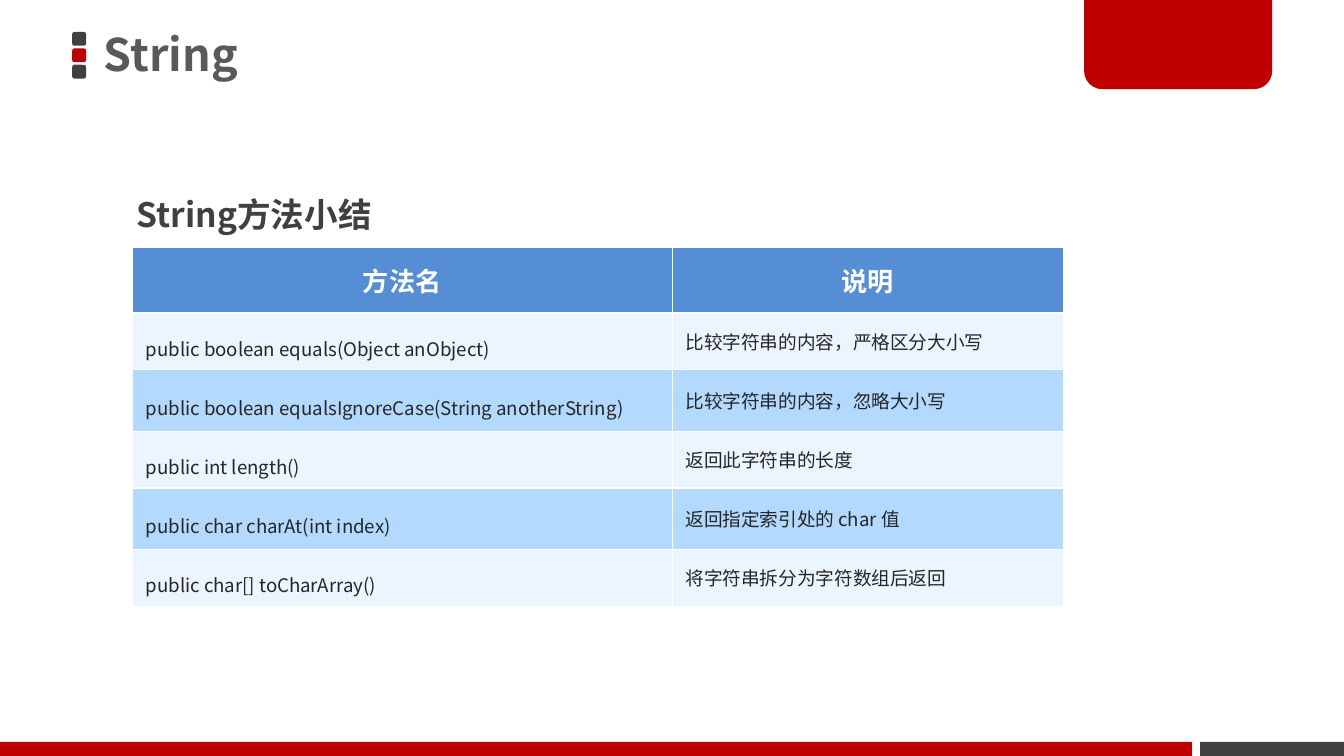
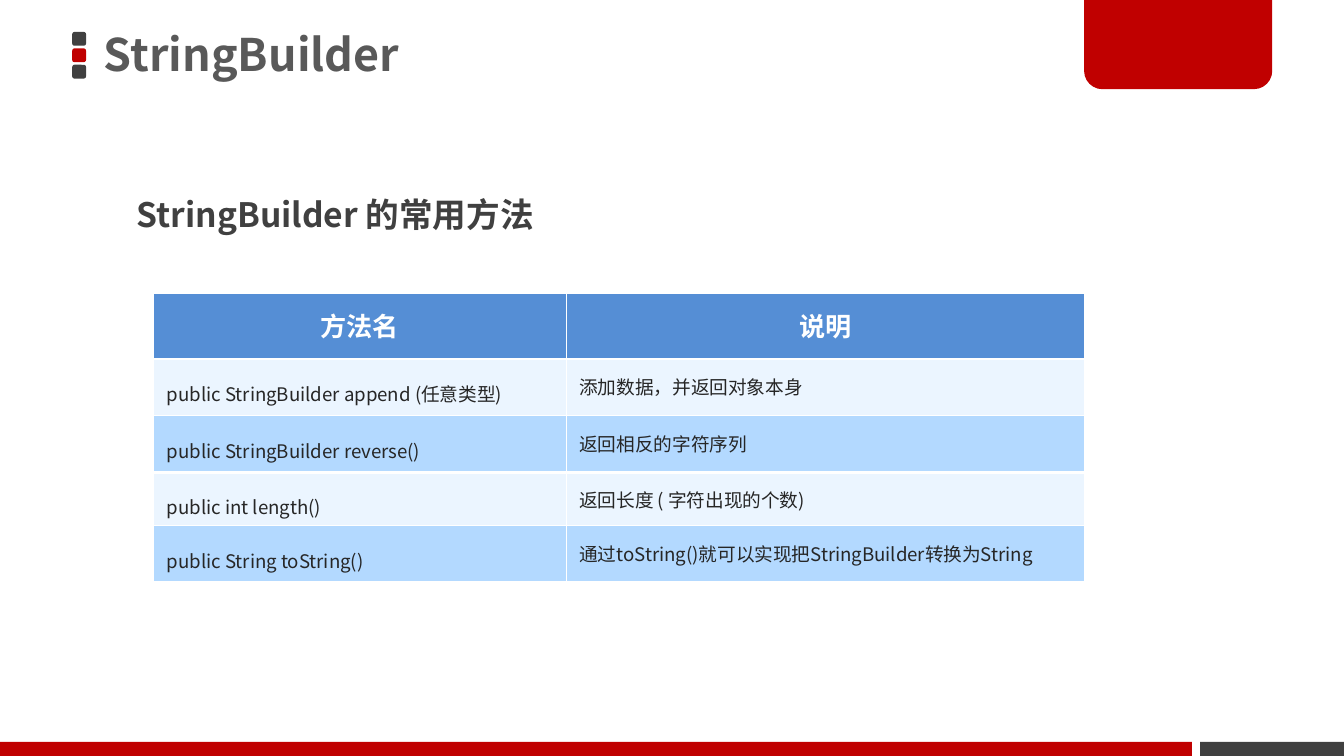
from dataclasses import dataclass

from lxml import etree
from pptx import Presentation
from pptx.dml.color import RGBColor
from pptx.enum.shapes import MSO_SHAPE
from pptx.enum.text import MSO_ANCHOR, MSO_AUTO_SIZE, PP_ALIGN
from pptx.oxml.ns import qn
from pptx.util import Pt

RECTANGLE = MSO_SHAPE.RECTANGLE
ROUNDED = MSO_SHAPE.ROUNDED_RECTANGLE
ROUND_PAIR = MSO_SHAPE.ROUND_2_SAME_RECTANGLE
TOP, MIDDLE = MSO_ANCHOR.TOP, MSO_ANCHOR.MIDDLE
LEFT, CENTER = PP_ALIGN.LEFT, PP_ALIGN.CENTER
NO_FIT, GROW = MSO_AUTO_SIZE.NONE, MSO_AUTO_SIZE.SHAPE_TO_FIT_TEXT
TITLE_ONLY = 5


@dataclass(frozen=True)
class Theme:
    font: str = "Noto Sans CJK SC"
    red: str = "C00000"
    dark: str = "404040"
    title: str = "595959"
    body: str = "262626"
    white: str = "FFFFFF"
    header: str = "558ED5"
    stripes: tuple = ("EBF5FF", "B3D9FF")
    title_size: float = 24
    heading_size: float = 18
    header_size: float = 14
    body_size: float = 10
    thin: float = 0.45
    thick: float = 1.47


THEME = Theme()

HEADER = ("方法名", "说明")

STRING_ROWS = [
    ("public boolean equals(Object anObject)", "比较字符串的内容，严格区分大小写"),
    ("public boolean equalsIgnoreCase(String anotherString)", "比较字符串的内容，忽略大小写"),
    ("public int length()", "返回此字符串的长度"),
    ("public char charAt(int index)", "返回指定索引处的 char 值"),
    ("public char[] toCharArray()", "将字符串拆分为字符数组后返回"),
]

BUILDER_ROWS = [
    ("public StringBuilder append (任意类型)", "添加数据，并返回对象本身"),
    ("public StringBuilder reverse()", "返回相反的字符序列"),
    ("public int length()", "返回长度 ( 字符出现的个数)"),
    ("public String toString()", "通过toString()就可以实现把StringBuilder转换为String"),
]


def style_paragraph(paragraph, size, color, bold=False, spacing=None, align=LEFT):
    paragraph.alignment = align
    paragraph.line_spacing = spacing
    font = paragraph.font
    font.name = THEME.font
    font.size = Pt(size)
    font.bold = bold
    font.color.rgb = RGBColor.from_string(color)
    defaults = paragraph._p.pPr.find(qn("a:defRPr"))
    etree.SubElement(defaults, qn("a:ea"), typeface=THEME.font)


def add_block(shapes, kind, left, top, width, height, color, adjustments=()):
    block = shapes.add_shape(kind, Pt(left), Pt(top), Pt(width), Pt(height))
    for index, value in enumerate(adjustments):
        block.adjustments[index] = value
    block.shadow.inherit = False
    block.fill.solid()
    block.fill.fore_color.rgb = RGBColor.from_string(color)
    block.line.fill.background()
    return block


def decorate_layout(page):
    layout = page.slide_layout
    for placeholder in list(layout.placeholders):
        if placeholder.placeholder_format.idx >= 10:
            placeholder.element.getparent().remove(placeholder.element)
    shapes = page.shapes
    squares = [
        add_block(shapes, ROUNDED, 38.7, 17.1 + 8.8 * index, 7.4, 7.4, color, (0.167,))
        for index, color in enumerate((THEME.dark, THEME.red, THEME.dark))
    ]
    decorations = [
        shapes.add_group_shape(squares),
        add_block(shapes, RECTANGLE, 643, 397.5, 77, 7.5, THEME.dark),
        add_block(shapes, ROUND_PAIR, 580.8, -1.4, 100.8, 49.2, THEME.red, (0, 0.2)),
        add_block(shapes, RECTANGLE, 0, 397.5, 638.6, 7.5, THEME.red),
    ]
    for decoration in decorations:
        layout.element.cSld.spTree.append(decoration.element)


def set_title(page, text):
    title = page.shapes.title
    title.left, title.top, title.width, title.height = Pt(49.7), Pt(-1.4), Pt(424), Pt(64)
    frame = title.text_frame
    frame.text = text
    frame.auto_size = NO_FIT
    frame.vertical_anchor = MIDDLE
    frame.margin_left = frame.margin_right = Pt(6)
    frame.margin_top = frame.margin_bottom = Pt(3)
    style_paragraph(frame.paragraphs[0], THEME.title_size, THEME.title, True, 0.9)


def add_heading(page, text, width):
    box = page.shapes.add_textbox(Pt(66.2), Pt(89.3), Pt(width), Pt(39.6))
    frame = box.text_frame
    frame.word_wrap = True
    frame.auto_size = GROW
    frame.text = text
    style_paragraph(frame.paragraphs[0], THEME.heading_size, THEME.dark, True, 1.5)


def set_borders(cell, top, bottom):
    properties = cell._tc.get_or_add_tcPr()
    widths = {"L": THEME.thin, "R": THEME.thin, "T": top, "B": bottom}
    for side, width in widths.items():
        line = etree.SubElement(properties, qn(f"a:ln{side}"), w=str(Pt(width)))
        fill = etree.SubElement(line, qn("a:solidFill"))
        etree.SubElement(fill, qn("a:srgbClr"), val=THEME.white)


def fill_cell(cell, text, color, anchor, top, bottom):
    set_borders(cell, top, bottom)
    cell.fill.solid()
    cell.fill.fore_color.rgb = RGBColor.from_string(color)
    cell.vertical_anchor = anchor
    cell.text = text
    return cell.text_frame.paragraphs[0]


def add_method_table(page, left, top, widths, heights, rows, first_stripe, has_header):
    frame = page.shapes.add_table(
        len(heights), len(widths), Pt(left), Pt(top), Pt(sum(widths)), Pt(sum(heights))
    )
    table = frame.table
    table.first_row = has_header
    table.horz_banding = False
    for column, width in zip(table.columns, widths):
        column.width = Pt(width)
    for row, height in zip(table.rows, heights):
        row.height = Pt(height)
    if has_header:
        for column, text in enumerate(HEADER):
            paragraph = fill_cell(
                table.cell(0, column), text, THEME.header, TOP, THEME.thin, THEME.thick
            )
            style_paragraph(paragraph, THEME.header_size, THEME.white, True, Pt(24), CENTER)
    for index, texts in enumerate(rows):
        color = THEME.stripes[(first_stripe + index) % 2]
        upper = THEME.thick if has_header and index == 0 else THEME.thin
        for column, (text, spacing) in enumerate(zip(texts, (1.5, None))):
            cell = table.cell(index + has_header, column)
            paragraph = fill_cell(cell, text, color, MIDDLE, upper, THEME.thin)
            style_paragraph(paragraph, THEME.body_size, THEME.body, spacing=spacing)


def add_method_tables(page, left, widths, rows, parts):
    used = 0
    for top, heights in parts:
        has_header = used == 0
        count = len(heights) - has_header
        add_method_table(
            page, left, top, widths, heights, rows[used:used + count], used, has_header
        )
        used += count


def add_page(deck, title, heading, heading_width):
    page = deck.slides.add_slide(deck.slide_layouts[TITLE_ONLY])
    if len(deck.slides) == 1:
        decorate_layout(page)
    set_title(page, title)
    add_heading(page, heading, heading_width)
    return page


def main():
    deck = Presentation()
    deck.slide_width, deck.slide_height = Pt(720), Pt(405)

    page = add_page(deck, "String", "String方法小结", 486.7)
    parts = [(132.6, (35.2, 30.2, 33.1, 30.2)), (261.4, (33.1, 30.2))]
    add_method_tables(page, 70.9, (289.2, 209.5), STRING_ROWS, parts)

    page = add_page(deck, "StringBuilder", "StringBuilder 的常用方法", 571.7)
    parts = [(157, (35.2, 30.2, 30.2)), (253.4, (28.1,)), (281.5, (30.2,))]
    add_method_tables(page, 82.2, (221, 277.9), BUILDER_ROWS, parts)

    deck.save("out.pptx")


if __name__ == "__main__":
    main()
